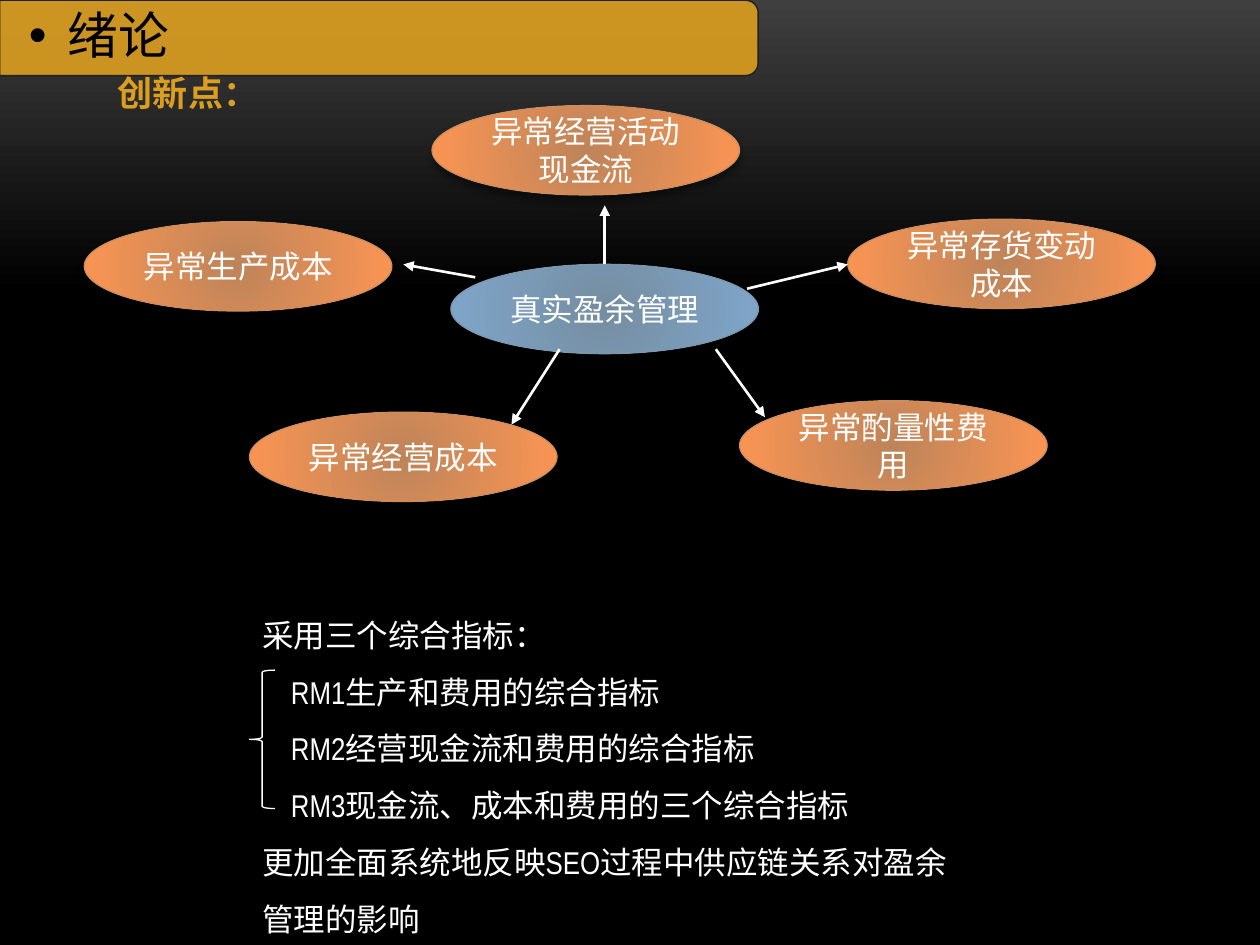
from lxml.etree import SubElement
from pptx import Presentation
from pptx.dml.color import RGBColor
from pptx.enum.shapes import MSO_CONNECTOR as Connector, MSO_SHAPE as Shape
from pptx.enum.text import MSO_ANCHOR as Anchor, MSO_AUTO_SIZE as AutoSize, PP_ALIGN as Align
from pptx.oxml.ns import qn
from pptx.util import Cm, Pt

FONT = "Arial Narrow"
COLORS = {
    "gold": "DC9E1F", "bar_edge": "1F2123", "white": "FFFFFF", "black": "000000",
    "sky": "3F3F3F", "blue_in": "758DA1", "blue_out": "7FA6CA", "blue_edge": "7E97AD",
    "orange_in": "BE8459", "orange_out": "FC9553", "orange_edge": "CC8E60",
}
OVAL_SIZE = (6.2, 1.8)
HUB = ("真实盈余管理", 9.09, 5.33)
FACTORS = [
    ("异常经营活动现金流", 8.71, 2.13),
    ("异常生产成本", 1.7, 4.47),
    ("异常存货变动成本", 17.09, 4.42),
    ("异常经营成本", 5.03, 8.31),
    ("异常酌量性费用", 14.91, 8.08),
]
ARROWS = [
    (12.19, 5.33, 12.19, 4.14),
    (14.43, 7.04, 15.42, 8.41),
    (15.06, 5.82, 17.09, 5.33),
    (9.58, 5.59, 8.13, 5.33),
    (11.28, 7.04, 10.31, 8.56),
]
INDICATORS = [
    ("采用三个综合指标：", 0),
    ("RM1生产和费用的综合指标", 0.58),
    ("RM2经营现金流和费用的综合指标", 0.58),
    ("RM3现金流、成本和费用的三个综合指标", 0.58),
    ("更加全面系统地反映SEO过程中供应链关系对盈余管理的影响", 0),
]


def rgb(name):
    """Return the named colour."""
    return RGBColor.from_string(COLORS[name])


def place(shape, left, top, width, height):
    """Move and size a shape in centimetres."""
    shape.left, shape.top = Cm(left), Cm(top)
    shape.width, shape.height = Cm(width), Cm(height)


def add_run(paragraph, text, size, color, bold=False):
    """Append a formatted run."""
    run = paragraph.add_run()
    run.text = text
    run.font.name, run.font.size, run.font.bold = FONT, Pt(size), bold
    run.font.color.rgb = rgb(color)
    return run


def set_line(shape, color, width):
    """Set the outline colour and width."""
    shape.line.color.rgb = rgb(color)
    shape.line.width = Pt(width)


def set_indent(paragraph, left, first=0):
    """Set the left margin and first-line indent."""
    properties = paragraph._p.get_or_add_pPr()
    properties.set("marL", str(Cm(left)))
    properties.set("indent", str(Cm(first)))
    return properties


def set_gradient(fill, stops):
    """Fill with a two-colour gradient."""
    fill.gradient()
    for stop, (position, color) in zip(fill.gradient_stops, stops):
        stop.position = position
        stop.color.rgb = rgb(color)


def add_shadow(shape):
    """Give a shape a soft shadow below it."""
    shape.shadow.inherit = False
    effects = shape._element.spPr.find(qn("a:effectLst"))
    shadow = SubElement(effects, qn("a:outerShdw"), blurRad=str(Pt(4)),
                        dist=str(Pt(3.4)), dir="5400000", rotWithShape="0")
    tint = SubElement(shadow, qn("a:srgbClr"), val=COLORS["black"])
    SubElement(tint, qn("a:alpha"), val="40000")


def add_oval(slide, label, left, top, hue):
    """Add a labelled oval with a radial gradient."""
    oval = slide.shapes.add_shape(Shape.OVAL, 0, 0, 0, 0)
    place(oval, left, top, *OVAL_SIZE)
    set_gradient(oval.fill, [(0, f"{hue}_in"), (1, f"{hue}_out")])
    gradient = oval._element.spPr.find(qn("a:gradFill"))
    gradient.remove(gradient.find(qn("a:lin")))
    radial = SubElement(gradient, qn("a:path"), path="circle")
    SubElement(radial, qn("a:fillToRect"), {side: "100000" for side in "ltrb"})
    set_line(oval, f"{hue}_edge", 0.75)
    add_shadow(oval)
    frame = oval.text_frame
    frame.word_wrap, frame.vertical_anchor = True, Anchor.MIDDLE
    frame.paragraphs[0].alignment = Align.CENTER
    add_run(frame.paragraphs[0], label, 18, "white")


def add_arrow(slide, *ends):
    """Add a white arrow between two points."""
    arrow = slide.shapes.add_connector(Connector.STRAIGHT, *map(Cm, ends))
    set_line(arrow, "white", 1.5)
    SubElement(arrow.line._get_or_add_ln(), qn("a:tailEnd"), type="triangle")
    SubElement(arrow._element.spPr, qn("a:effectLst"))


def add_brace(slide):
    """Add the brace that groups the indicators."""
    brace = slide.shapes.add_shape(Shape.LEFT_BRACE, 0, 0, 0, 0)
    place(brace, 5.03, 13.51, 0.51, 2.79)
    brace.fill.background()
    brace.shadow.inherit = False
    set_line(brace, "white", 0.75)


def add_title_bar(slide):
    """Add the gold bar behind the title."""
    bar = slide.shapes.add_shape(Shape.ROUND_2_SAME_RECTANGLE, 0, 0, 0, 0)
    place(bar, 6.88, -6.88, 1.52, 15.29)
    bar.rotation = 90
    bar.shadow.inherit = False
    bar.fill.solid()
    bar.fill.fore_color.rgb = rgb("gold")
    tint = bar._element.spPr.find(qn("a:solidFill")).find(qn("a:srgbClr"))
    SubElement(tint, qn("a:alpha"), val="90000")
    set_line(bar, "bar_edge", 0.85)
    slide.shapes._spTree.insert(2, bar._element)


def fill_title(title):
    """Write the bulleted title."""
    place(title, 0, 0.08, 15.21, 1.37)
    frame = title.text_frame
    frame.auto_size, frame.vertical_anchor = AutoSize.NONE, Anchor.MIDDLE
    frame.margin_left = Cm(0.58)
    frame.margin_top = frame.margin_right = frame.margin_bottom = Cm(0.05)
    heading = frame.paragraphs[0]
    heading.alignment, heading.line_spacing = Align.LEFT, 0.9
    properties = set_indent(heading, 0.79, -0.79)
    SubElement(properties, qn("a:buFont"), typeface="Arial")
    SubElement(properties, qn("a:buChar"), char="•")
    add_run(heading, "绪论", 29, "black")


def add_subtitle(slide):
    """Add the gold subtitle under the bar."""
    subtitle = slide.shapes.add_textbox(Cm(2.11), Cm(1.32), Cm(3.43), Cm(1.12))
    subtitle.text_frame.word_wrap = False
    run = add_run(subtitle.text_frame.paragraphs[0], "创新点：", 20, "gold", True)
    run._r.get_or_add_rPr().set("spc", "30")


def fill_indicators(body):
    """Write the indicator list."""
    place(body, 5.03, 11.91, 14.4, 7.19)
    frame = body.text_frame
    frame.word_wrap, frame.auto_size = True, AutoSize.NONE
    frame.vertical_anchor = Anchor.TOP
    for index, (text, indent) in enumerate(INDICATORS):
        line = frame.add_paragraph() if index else frame.paragraphs[0]
        line.line_spacing, line.space_before = 1.5, Pt(0)
        SubElement(set_indent(line, indent), qn("a:buNone"))
        add_run(line, text, 18, "white")


def main():
    """Build and save the slide."""
    deck = Presentation()
    deck.slide_width, deck.slide_height = Cm(25.4), Cm(19.05)
    slide = deck.slides.add_slide(deck.slide_layouts[1])
    backdrop = slide.background.fill
    set_gradient(backdrop, [(0, "sky"), (0.31, "black")])
    backdrop.gradient_angle = 270
    add_title_bar(slide)
    fill_title(slide.shapes.title)
    fill_indicators(slide.placeholders[1])
    add_subtitle(slide)
    add_oval(slide, *HUB, "blue")
    for factor in FACTORS:
        add_oval(slide, *factor, "orange")
    for ends in ARROWS:
        add_arrow(slide, *ends)
    add_brace(slide)
    deck.save("out.pptx")


main()
